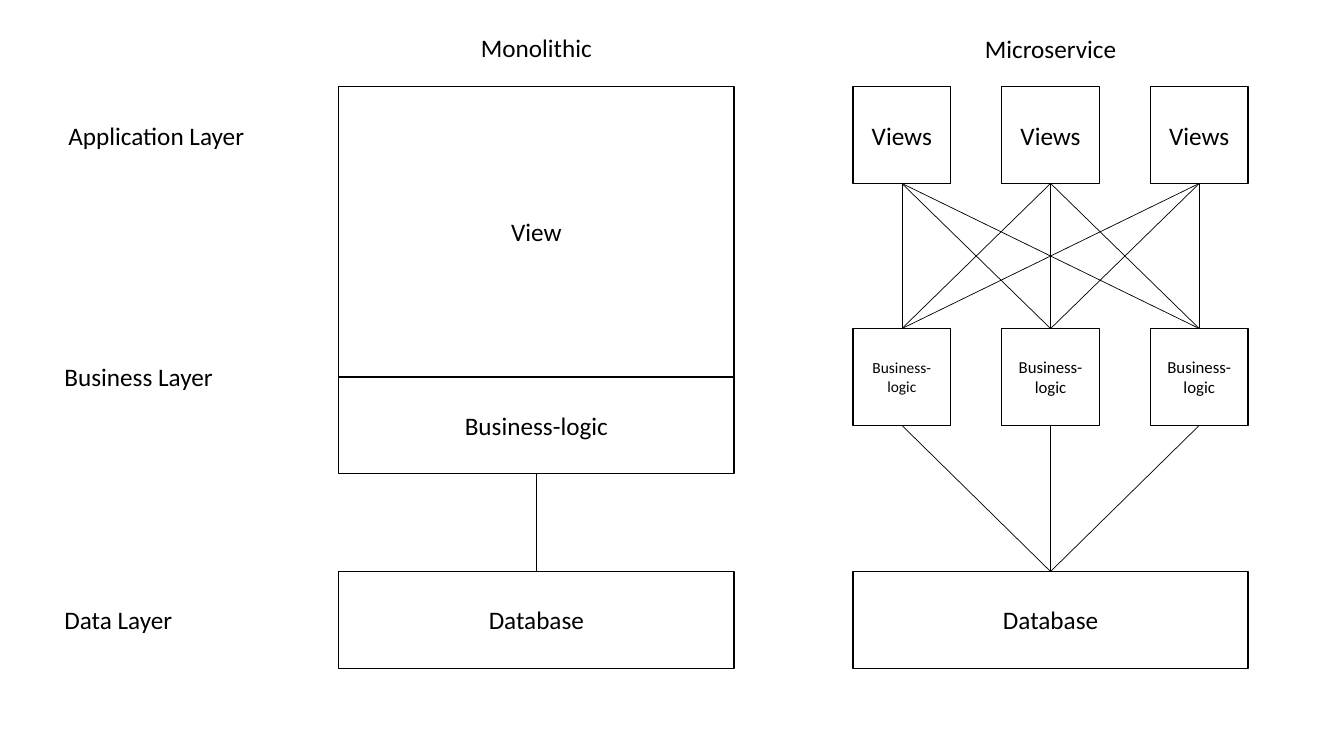
import dataclasses
import itertools

import pptx
import pptx.dml.color
import pptx.enum.shapes
import pptx.enum.text
import pptx.oxml.ns
import pptx.util
from lxml import etree

Inches = pptx.util.Inches
Pt = pptx.util.Pt
ALIGN = pptx.enum.text.PP_ALIGN
ANCHOR = pptx.enum.text.MSO_ANCHOR
TOP, BOTTOM = 0, 2


@dataclasses.dataclass(frozen=True)
class Theme:
    ink: pptx.dml.color.RGBColor = pptx.dml.color.RGBColor(0, 0, 0)
    font: str = "Calibri"
    body: float = 18
    small: float = 12
    smallest: float = 11
    outline: float = 1
    link: float = 0.5


THEME = Theme()
ROW_HEIGHT = 0.96
LABEL_HEIGHT = 0.4
DIAGRAM_TOP = 0.86
DATABASE_TOP = 5.67


def write(frame, text, size=THEME.body, align=ALIGN.LEFT, anchor=ANCHOR.TOP):
    frame.word_wrap = True
    frame.vertical_anchor = anchor
    paragraph = frame.paragraphs[0]
    paragraph.alignment = align
    run = paragraph.add_run()
    run.text = text
    run.font.name = THEME.font
    run.font.size = Pt(size)
    run.font.color.rgb = THEME.ink


def add_label(slide, left, top, width, text, align=ALIGN.LEFT):
    label = slide.shapes.add_textbox(
        Inches(left), Inches(top), Inches(width), Inches(LABEL_HEIGHT))
    write(label.text_frame, text, align=align)


def add_block(slide, left, top, width, height, text, size=THEME.body):
    block = slide.shapes.add_shape(
        pptx.enum.shapes.MSO_SHAPE.RECTANGLE,
        Inches(left), Inches(top), Inches(width), Inches(height))
    block.shadow.inherit = False
    block.fill.background()
    block.line.color.rgb = THEME.ink
    block.line.width = Pt(THEME.outline)
    write(block.text_frame, text, size=size, align=ALIGN.CENTER,
          anchor=ANCHOR.MIDDLE)
    return block


def link(slide, lower, upper):
    """Join the top of the lower block to the bottom of the upper one."""
    line = slide.shapes.add_connector(
        pptx.enum.shapes.MSO_CONNECTOR.STRAIGHT, 0, 0, 0, 0)
    line.begin_connect(lower, TOP)
    line.end_connect(upper, BOTTOM)
    line.line.color.rgb = THEME.ink
    line.line.width = Pt(THEME.link)
    etree.SubElement(line._element.spPr, pptx.oxml.ns.qn("a:effectLst"))


def add_layer_names(slide, left, width):
    for text, indent, top in (("Application Layer", 0.04, 1.14),
                              ("Business Layer", 0, 3.54),
                              ("Data Layer", 0, 5.95)):
        add_label(slide, left + indent, top, width, text)


def add_monolith(slide, left, width):
    view_height = 2.88
    add_label(slide, left, 0.27, width, "Monolithic", align=ALIGN.CENTER)
    add_block(slide, left, DIAGRAM_TOP, width, view_height, "View")
    logic = add_block(slide, left, DIAGRAM_TOP + view_height, width,
                      ROW_HEIGHT, "Business-logic")
    database = add_block(slide, left, DATABASE_TOP, width, ROW_HEIGHT,
                         "Database")
    link(slide, database, logic)


def add_microservices(slide, left, width):
    service_width = 0.97
    logic_sizes = (THEME.smallest, THEME.small, THEME.small)
    step = (width - service_width) / (len(logic_sizes) - 1)

    add_label(slide, left, 0.28, width, "Microservice", align=ALIGN.CENTER)
    views, logics = [], []
    for column, logic_size in enumerate(logic_sizes):
        service_left = left + column * step
        views.append(add_block(slide, service_left, DIAGRAM_TOP,
                               service_width, ROW_HEIGHT, "Views"))
        logics.append(add_block(slide, service_left, 3.26, service_width,
                                ROW_HEIGHT, "Business-logic", size=logic_size))
    database = add_block(slide, left, DATABASE_TOP, width, ROW_HEIGHT,
                         "Database")

    for logic, view in itertools.product(logics, views):
        link(slide, logic, view)
    for logic in logics:
        link(slide, database, logic)


def main():
    deck = pptx.Presentation()
    deck.slide_width = Inches(13.33)
    deck.slide_height = Inches(7.5)
    slide = deck.slides.add_slide(deck.slide_layouts[6])
    add_layer_names(slide, left=0.54, width=2.78)
    add_monolith(slide, left=3.36, width=3.92)
    add_microservices(slide, left=8.46, width=3.92)
    deck.save("out.pptx")


if __name__ == "__main__":
    main()
